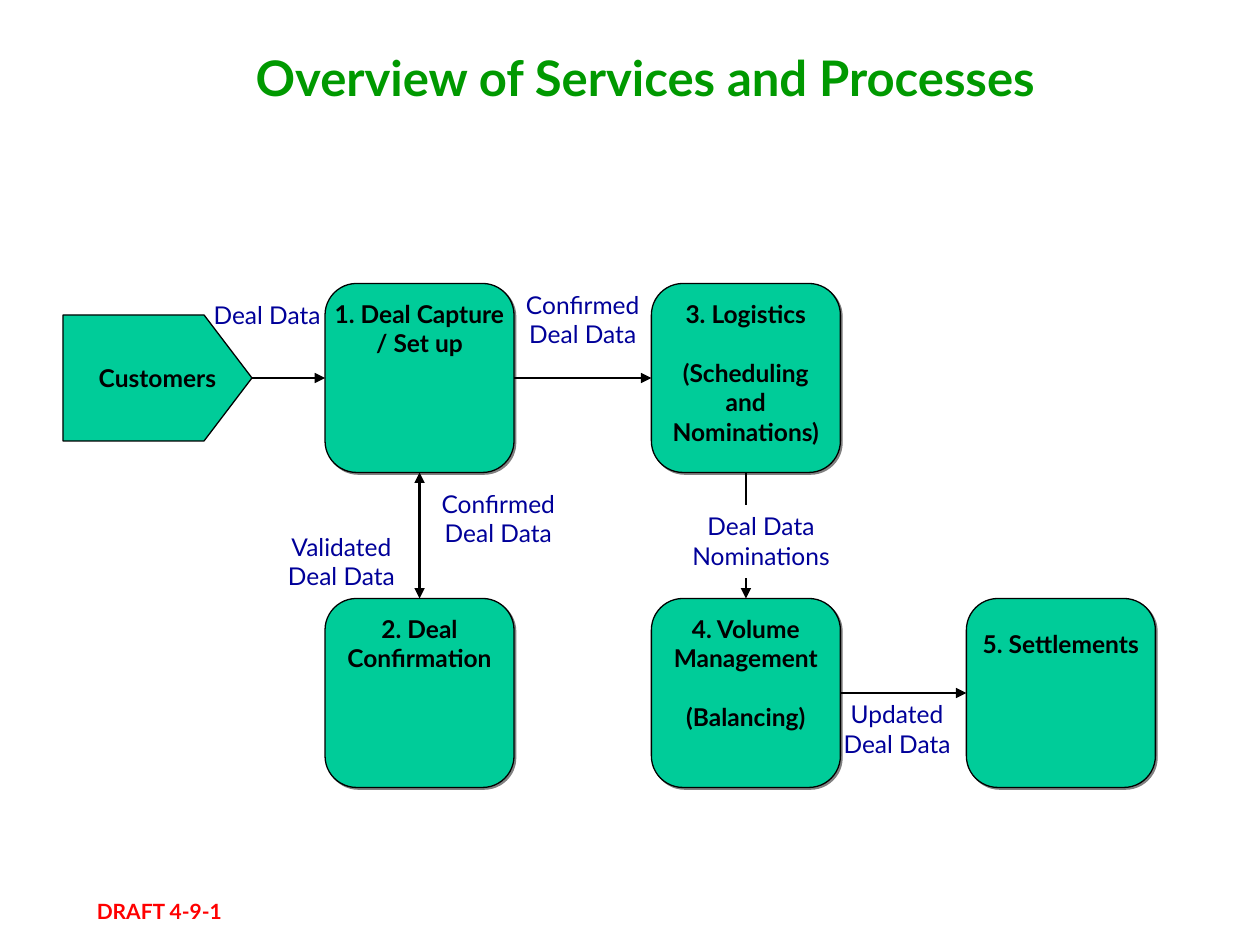
from lxml import etree
from pptx import Presentation
from pptx import util as u
from pptx.dml.color import RGBColor
from pptx.enum import shapes, text
from pptx.oxml import parse_xml
from pptx.oxml.ns import nsdecls, qn

BLACK, WHITE, GREEN, NAVY = "000000", "FFFFFF", "00CC99", "000099"
SIDE = 1.5
TOP, LEFT, BOTTOM, RIGHT = range(4)


def rgb(value):
    return RGBColor.from_string(value)


def fill_and_line(sp, fill, line=None):
    sp.shadow.inherit = False
    sp.fill.solid()
    sp.fill.fore_color.rgb = rgb(fill)
    if line:
        sp.line.color.rgb = rgb(line)
        sp.line.width = u.Pt(0.75)
    else:
        sp.line.fill.background()


def write(sp, lines, size=14, color=BLACK, bold=True, align="CENTER",
          anchor="TOP", wrap=False, top=0.05, gap_before=None):
    tf = sp.text_frame
    tf.word_wrap = wrap
    tf.vertical_anchor = getattr(text.MSO_ANCHOR, anchor)
    tf.margin_left = tf.margin_right = u.Inches(0.1)
    tf.margin_top, tf.margin_bottom = u.Inches(top), u.Inches(0.05)
    for i, line in enumerate(lines):
        p = tf.add_paragraph() if i else tf.paragraphs[0]
        p.alignment = getattr(text.PP_ALIGN, align)
        if i == gap_before:
            p.space_before = u.Pt(16.8)
        r = p.add_run()
        r.text = line
        r.font.name = "Lato"
        r.font.size = u.Pt(size)
        r.font.bold = bold
        r.font.color.rgb = rgb(color)


def add_text(s, x, y, w, h, line, **style):
    sp = s.shapes.add_textbox(*map(u.Inches, (x, y, w, h)))
    write(sp, [line], **style)


def add_label(s, x, y, w, h, line, fill=None, outline=None):
    area = map(u.Inches, (x, y, w, h))
    if fill:
        sp = s.shapes.add_shape(shapes.MSO_SHAPE.RECTANGLE, *area)
        fill_and_line(sp, fill, outline)
    else:
        sp = s.shapes.add_textbox(*area)
    write(sp, [line], color=NAVY, bold=False, wrap=True)


def add_process(s, x, y, lines, **style):
    sp = s.shapes.add_shape(shapes.MSO_SHAPE.FLOWCHART_ALTERNATE_PROCESS,
                            *map(u.Inches, (x, y, SIDE, SIDE)))
    fill_and_line(sp, GREEN, BLACK)
    effects = sp._element.spPr.find(qn("a:effectLst"))
    effects.append(parse_xml(
        f'<a:outerShdw {nsdecls("a")} dist="17780" dir="2700000" algn="ctr" '
        'rotWithShape="0"><a:srgbClr val="808080"/></a:outerShdw>'))
    write(sp, lines, **style)
    return sp


def add_customers(s):
    points = [(1.62, 2.5), (2, 3), (1.62, 3.5), (0.5, 3.5)]
    builder = s.shapes.build_freeform(u.Inches(0.5), u.Inches(2.5))
    builder.add_line_segments([(u.Inches(x), u.Inches(y)) for x, y in points])
    sp = builder.convert_to_shape()
    fill_and_line(sp, GREEN, BLACK)
    write(sp, ["Customers"], anchor="MIDDLE")


def add_arrow(s, start, end, begin=None, finish=None, both=False):
    cx = s.shapes.add_connector(shapes.MSO_CONNECTOR.STRAIGHT,
                                *map(u.Inches, start + end))
    if begin:
        cx.begin_connect(*begin)
    if finish:
        cx.end_connect(*finish)
    cx.line.color.rgb = rgb(BLACK)
    cx.line.width = u.Pt(1.5)
    ln = cx.line._get_or_add_ln()
    for tag in ("a:headEnd", "a:tailEnd") if both else ("a:tailEnd",):
        etree.SubElement(ln, qn(tag), type="triangle")
    etree.SubElement(cx._element.spPr, qn("a:effectLst"))


def main():
    prs = Presentation()
    prs.slide_width, prs.slide_height = u.Inches(10), u.Inches(7.5)
    s = prs.slides.add_slide(prs.slide_layouts[6])

    add_text(s, 0.67, 7.08, 2, 0.3, "DRAFT 4-9-1", size=12, color="FF0000",
             align="LEFT", wrap=True)
    add_label(s, 4, 2.25, 1.25, 0.57, "Confirmed Deal Data", WHITE)
    add_label(s, 1.58, 2.33, 1.08, 0.57, "Deal Data")
    add_text(s, 1.6, 0.33, 7.04, 0.57, "Overview of Services and Processes",
             size=28, color="009900")

    col1, col2, col3 = 2.58, 5.17, 7.67
    row1, row2 = 2.25, 4.75
    half = SIDE / 2
    capture = add_process(s, col1, row1, ["1. Deal Capture", "/ Set up"])
    confirmation = add_process(s, col1, row2, ["2. Deal", "Confirmation"])
    logistics = add_process(
        s, col2, row1,
        ["3. Logistics", "(Scheduling", "and", "Nominations)"], gap_before=1)
    volume = add_process(
        s, col2, row2,
        ["4. Volume", "Management", "(Balancing)"], gap_before=2)
    settlements = add_process(s, col3, row2, ["5. Settlements"], top=0.17)

    add_arrow(s, (col1 + SIDE, row1 + half), (col2, row1 + half),
              (capture, RIGHT), (logistics, LEFT))
    add_arrow(s, (col2 + SIDE, row2 + half), (col3, row2 + half),
              (volume, RIGHT), (settlements, LEFT))
    add_label(s, 3.33, 3.83, 1.25, 0.57, "Confirmed Deal Data")
    add_label(s, 6.58, 5.5, 1.08, 0.8, "Updated Deal Data")
    add_customers(s)
    add_arrow(s, (2, 3), (col1, 3), finish=(capture, LEFT))
    add_arrow(s, (col1 + half, row1 + SIDE), (col1 + half, row2),
              (capture, BOTTOM), (confirmation, TOP), both=True)
    add_arrow(s, (col2 + half, row1 + SIDE), (col2 + half, row2),
              (logistics, BOTTOM), (volume, TOP))
    add_label(s, 5.25, 4.01, 1.58, 0.57, "Deal Data Nominations", WHITE, WHITE)
    add_label(s, 2.17, 4.17, 1.08, 0.8, "Validated Deal Data")

    prs.save("out.pptx")


if __name__ == "__main__":
    main()
